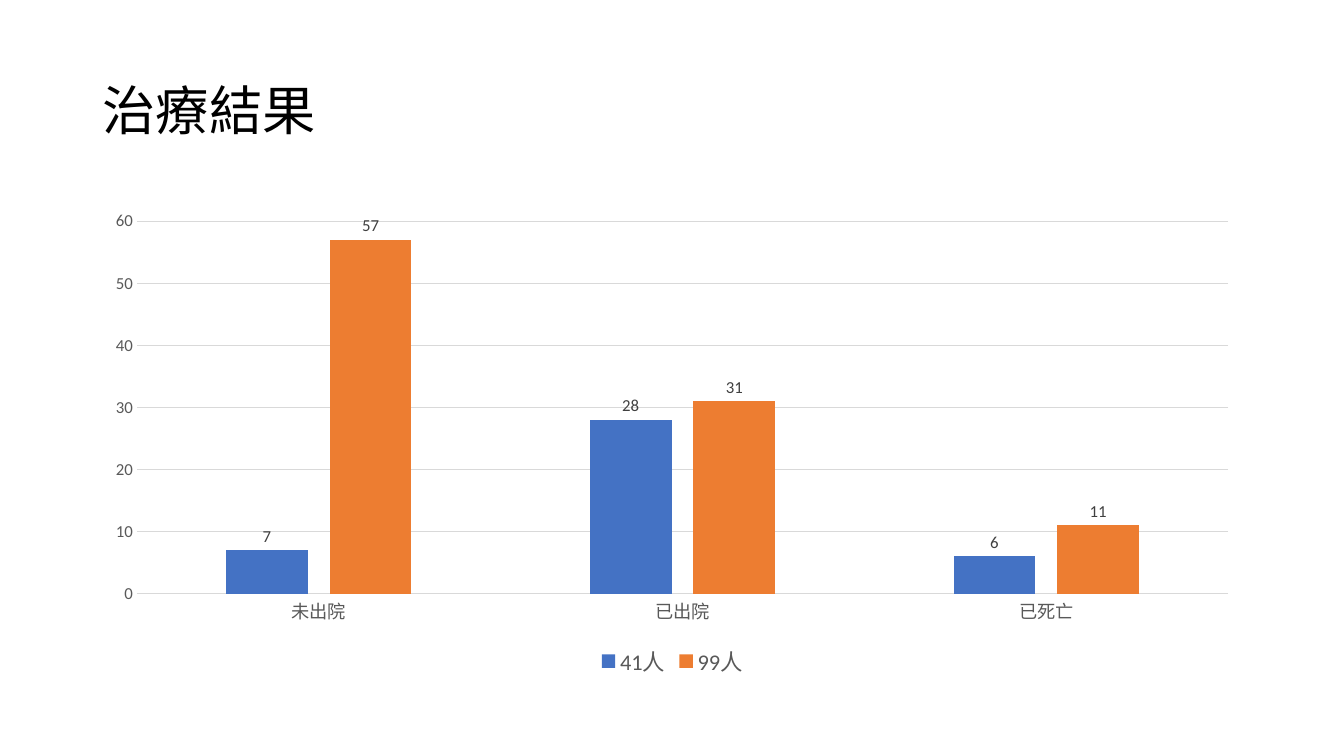
from pptx import Presentation
from pptx.chart.data import CategoryChartData
from pptx.dml.color import RGBColor
from pptx.enum.chart import XL_CHART_TYPE as ChartType
from pptx.enum.chart import XL_LABEL_POSITION as LabelPosition
from pptx.enum.chart import XL_LEGEND_POSITION as LegendPosition
from pptx.enum.chart import XL_TICK_MARK as TickMark
from pptx.enum.text import MSO_ANCHOR as Anchor
from pptx.oxml.ns import qn
from pptx.util import Inches, Pt

BLACK = RGBColor(0x00, 0x00, 0x00)
LABEL_GRAY = RGBColor(0x40, 0x40, 0x40)
AXIS_GRAY = RGBColor(0x59, 0x59, 0x59)
GRID_GRAY = RGBColor(0xD9, 0xD9, 0xD9)
BLUE = RGBColor(0x44, 0x72, 0xC4)
ORANGE = RGBColor(0xED, 0x7D, 0x31)

LATIN_FONT = "Calibri"
CJK_FONT = "Noto Sans CJK SC"
WIDTH, HEIGHT = Inches(13.33), Inches(7.5)
MARGIN = Inches(0.92)
CONTENT_WIDTH = WIDTH - 2 * MARGIN

OUTCOMES = ["未出院", "已出院", "已死亡"]
COHORTS = [("41人", [7, 28, 6], BLUE), ("99人", [57, 31, 11], ORANGE)]


def style_font(font, size, color, name=LATIN_FONT):
    font.size = Pt(size)
    font.name = name
    font.color.rgb = color


def style_line(line, color, width=0.75):
    line.color.rgb = color
    line.width = Pt(width)


def add_text(page, text, *, top, height, size, color, font, spacing):
    box = page.shapes.add_textbox(MARGIN, top, CONTENT_WIDTH, height)
    frame = box.text_frame
    frame.word_wrap = True
    frame.vertical_anchor = Anchor.MIDDLE
    para = frame.paragraphs[0]
    para.line_spacing = spacing
    span = para.add_run()
    span.text = text
    style_font(span.font, size, color, font)
    east_asian = span.font._element.makeelement(qn("a:ea"), {"typeface": font})
    span.font._element.append(east_asian)


def style_axis(axis, size):
    axis.major_tick_mark = TickMark.NONE
    axis.minor_tick_mark = TickMark.NONE
    style_font(axis.tick_labels.font, size, AXIS_GRAY)


def style_series(series, color):
    series.format.fill.solid()
    series.format.fill.fore_color.rgb = color
    series.invert_if_negative = False
    labels = series.data_labels
    labels.show_value = True
    labels.position = LabelPosition.OUTSIDE_END
    style_font(labels.font, 12, LABEL_GRAY)


def add_column_chart(page, categories, cohorts, top, height):
    data = CategoryChartData()
    data.categories = categories
    for name, values, _ in cohorts:
        data.add_series(name, values)
    chart = page.shapes.add_chart(
        ChartType.COLUMN_CLUSTERED, MARGIN, top, CONTENT_WIDTH, height, data
    ).chart
    style_font(chart.font, 10, BLACK)
    chart.has_title = False

    style_axis(chart.category_axis, 13)
    style_line(chart.category_axis.format.line, GRID_GRAY)
    style_axis(chart.value_axis, 12)
    chart.value_axis.format.line.fill.background()
    style_line(chart.value_axis.major_gridlines.format.line, GRID_GRAY)

    plot = chart.plots[0]
    plot.vary_by_categories = False
    plot.gap_width = 219
    plot.overlap = -27
    for series, (_, _, color) in zip(plot.series, cohorts):
        style_series(series, color)

    chart.has_legend = True
    chart.legend.position = LegendPosition.BOTTOM
    chart.legend.include_in_layout = False
    style_font(chart.legend.font, 16, AXIS_GRAY)


def main():
    deck = Presentation()
    deck.slide_width, deck.slide_height = WIDTH, HEIGHT
    page = deck.slides.add_slide(deck.slide_layouts[6])
    add_text(page, "治療結果", top=Inches(0.4), height=Inches(1.45),
             size=38, color=BLACK, font=CJK_FONT, spacing=0.9)
    add_column_chart(page, OUTCOMES, COHORTS, Inches(2), Inches(4.76))
    deck.save("out.pptx")


if __name__ == "__main__":
    main()
